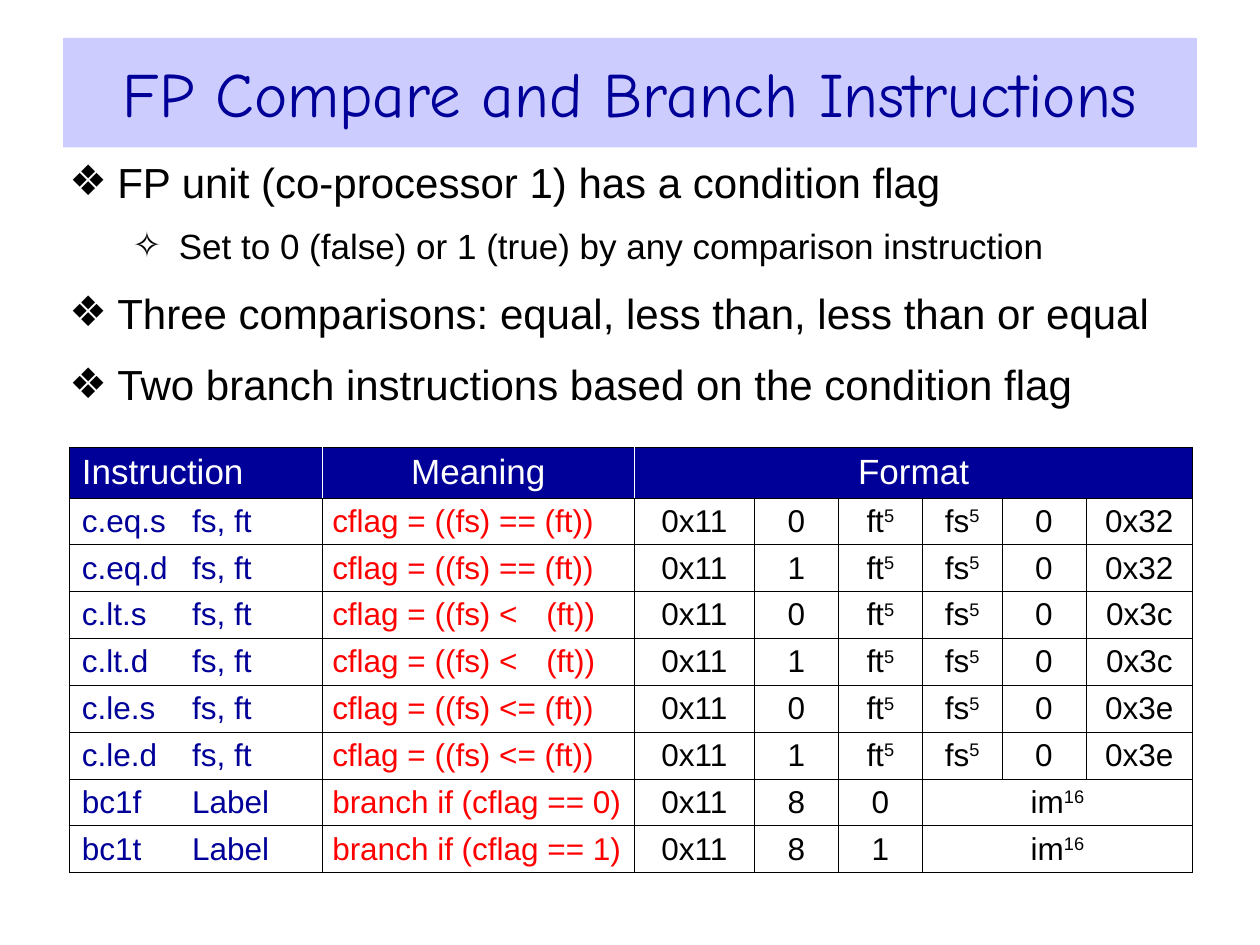
from lxml import etree
from pptx import Presentation
from pptx.dml.color import RGBColor
from pptx.enum.text import MSO_ANCHOR, MSO_AUTO_SIZE, PP_ALIGN
from pptx.oxml.ns import qn
from pptx.util import Pt

LEFT, CENTER = PP_ALIGN.LEFT, PP_ALIGN.CENTER
TOP, MIDDLE = MSO_ANCHOR.TOP, MSO_ANCHOR.MIDDLE
NO_AUTOFIT = MSO_AUTO_SIZE.NONE

THEME = {
    "navy": "000099", "lavender": "CCCCFF", "red": "FF0000",
    "black": "000000", "white": "FFFFFF",
    "title_font": "Comic Neue", "body_font": "Arial",
    "title": 36, "bullet": 24, "sub_bullet": 20, "header": 20, "cell": 18,
}


def format_run(r, size, color, font=THEME["body_font"]):
    r.font.size = Pt(size)
    r.font.name = font
    r.font.bold = False
    r.font.color.rgb = RGBColor.from_string(THEME[color])


def set_borders(cell, colors):
    tcPr = cell._tc.get_or_add_tcPr()
    for i, (side, color) in enumerate(zip("LRTB", colors)):
        ln = etree.Element(qn(f"a:ln{side}"), w=str(Pt(0.45)))
        fill = etree.SubElement(ln, qn("a:solidFill"))
        etree.SubElement(fill, qn("a:srgbClr"), val=THEME[color])
        tcPr.insert(i, ln)


prs = Presentation()
prs.slide_width, prs.slide_height = Pt(720), Pt(540)
s = prs.slides.add_slide(prs.slide_layouts[1])

title = s.shapes.title
title.left, title.top, title.width, title.height = Pt(36), Pt(21.6), Pt(648), Pt(62.6)
title.fill.solid()
title.fill.fore_color.rgb = RGBColor.from_string(THEME["lavender"])
tf = title.text_frame
tf.text = "FP Compare and Branch Instructions"
tf.auto_size = NO_AUTOFIT
tf.vertical_anchor = MIDDLE
tf.paragraphs[0].alignment = CENTER
format_run(tf.paragraphs[0].runs[0], THEME["title"], "navy", THEME["title_font"])

body = s.placeholders[1]
body.left, body.top, body.width, body.height = Pt(39.6), Pt(85.7), Pt(643.7), Pt(165.6)
tf = body.text_frame
tf.auto_size = NO_AUTOFIT
tf.vertical_anchor = TOP
tf.margin_left = tf.margin_right = 0
tf.margin_top = tf.margin_bottom = Pt(3.6)

bullets = [
    (0, "FP unit (co-processor 1) has a condition flag"),
    (1, "Set to 0 (false) or 1 (true) by any comparison instruction"),
    (0, "Three comparisons: equal, less than, less than or equal"),
    (0, "Two branch instructions based on the condition flag"),
]
levels = [
    ("❖", 27.4, 27.4, 12, THEME["bullet"]),
    ("✧", 62.6, 26.6, 10, THEME["sub_bullet"]),
]
for i, (level, text) in enumerate(bullets):
    char, margin, hanging, before, size = levels[level]
    p = tf.paragraphs[0] if i == 0 else tf.add_paragraph()
    p.text = text
    p.level = level
    p.alignment = LEFT
    p.space_before = Pt(before if i else 0)
    pPr = p._p.get_or_add_pPr()
    pPr.set("marL", str(Pt(margin)))
    pPr.set("indent", str(-Pt(hanging)))
    color = etree.SubElement(pPr, qn("a:buClr"))
    etree.SubElement(color, qn("a:srgbClr"), val=THEME["black"])
    etree.SubElement(pPr, qn("a:buFont"), typeface=THEME["body_font"])
    etree.SubElement(pPr, qn("a:buChar"), char=char)
    format_run(p.runs[0], size, "black")

rows = [["Instruction", "Meaning", "Format"]]
for op, sign, code in [("eq", "== ", "0x32"), ("lt", "<\t", "0x3c"), ("le", "<= ", "0x3e")]:
    for precision, fmt in [("s", "0"), ("d", "1")]:
        rows.append([f"c.{op}.{precision}\tfs, ft", f"cflag = ((fs) {sign}(ft))",
                     "0x11", fmt, "ft^5", "fs^5", "0", code])
for suffix, flag in [("f", "0"), ("t", "1")]:
    rows.append([f"bc1{suffix}\tLabel", f"branch if (cflag == {flag})",
                 "0x11", "8", flag, "im^16"])

widths = [144.5, 178.5, 68.5, 48, 48, 45.5, 48, 61]
heights = [25.2] + [24.5] * 8
tab_stops = {0: 63, 1: 122.3}
frame = s.shapes.add_table(len(rows), len(widths), Pt(39.6), Pt(255.6),
                           Pt(sum(widths)), Pt(sum(heights)))
table = frame.table
table.horz_banding = False
for column, width in zip(table.columns, widths):
    column.width = Pt(width)
for row, height in zip(table.rows, heights):
    row.height = Pt(height)

last = len(widths) - 1
for i, texts in enumerate(rows):
    header = i == 0
    for j in range(len(widths)):
        cell = table.cell(i, j)
        cell.margin_left = Pt(5.8 if j == 1 and not header else 7.2)
        cell.margin_right = Pt(7.2)
        cell.margin_top = cell.margin_bottom = Pt(3.3)
        cell.vertical_anchor = TOP
        if header:
            cell.fill.solid()
            cell.fill.fore_color.rgb = RGBColor.from_string(THEME["navy"])
        else:
            cell.fill.background()
        left = "white" if header and 0 < j < 3 else "black"
        right = "white" if header and j < 2 else "black"
        set_borders(cell, [left, right, "black", "black"])
        if j >= len(texts):
            continue

        p = cell.text_frame.paragraphs[0]
        p.alignment = LEFT if j == 0 or (j == 1 and not header) else CENTER
        if "\t" in texts[j]:
            tabs = etree.SubElement(p._p.get_or_add_pPr(), qn("a:tabLst"))
            etree.SubElement(tabs, qn("a:tab"), pos=str(Pt(tab_stops[j])), algn="l")
        color = "white" if header else ["navy", "red", "black"][min(j, 2)]
        for k, part in enumerate(texts[j].split("^")):
            r = p.add_run()
            r.text = part
            format_run(r, THEME["header" if header else "cell"], color)
            if k == 1:
                r._r.get_or_add_rPr().set("baseline", "30000")
    if len(texts) < len(widths):
        table.cell(i, len(texts) - 1).merge(table.cell(i, last))

prs.save("out.pptx")
